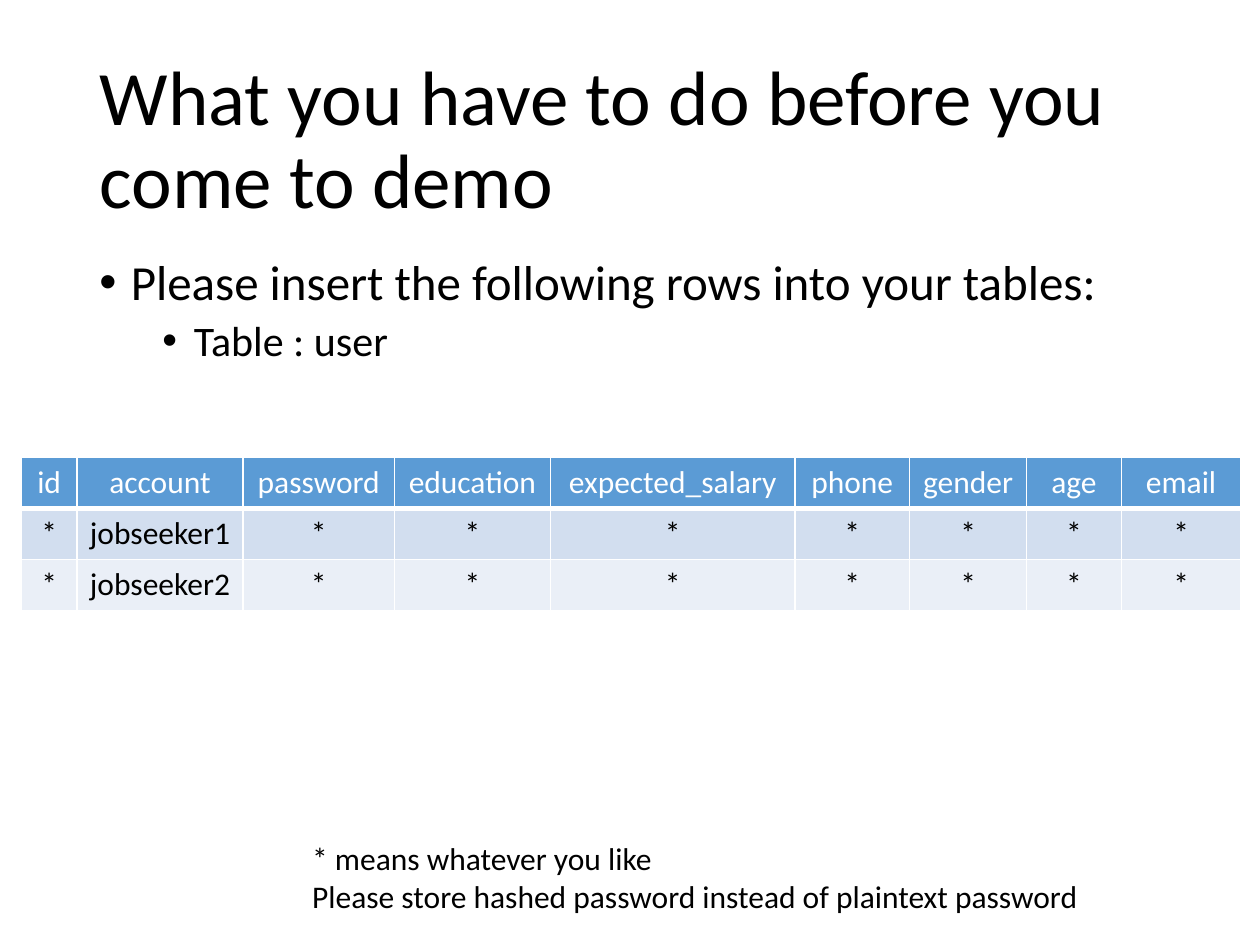
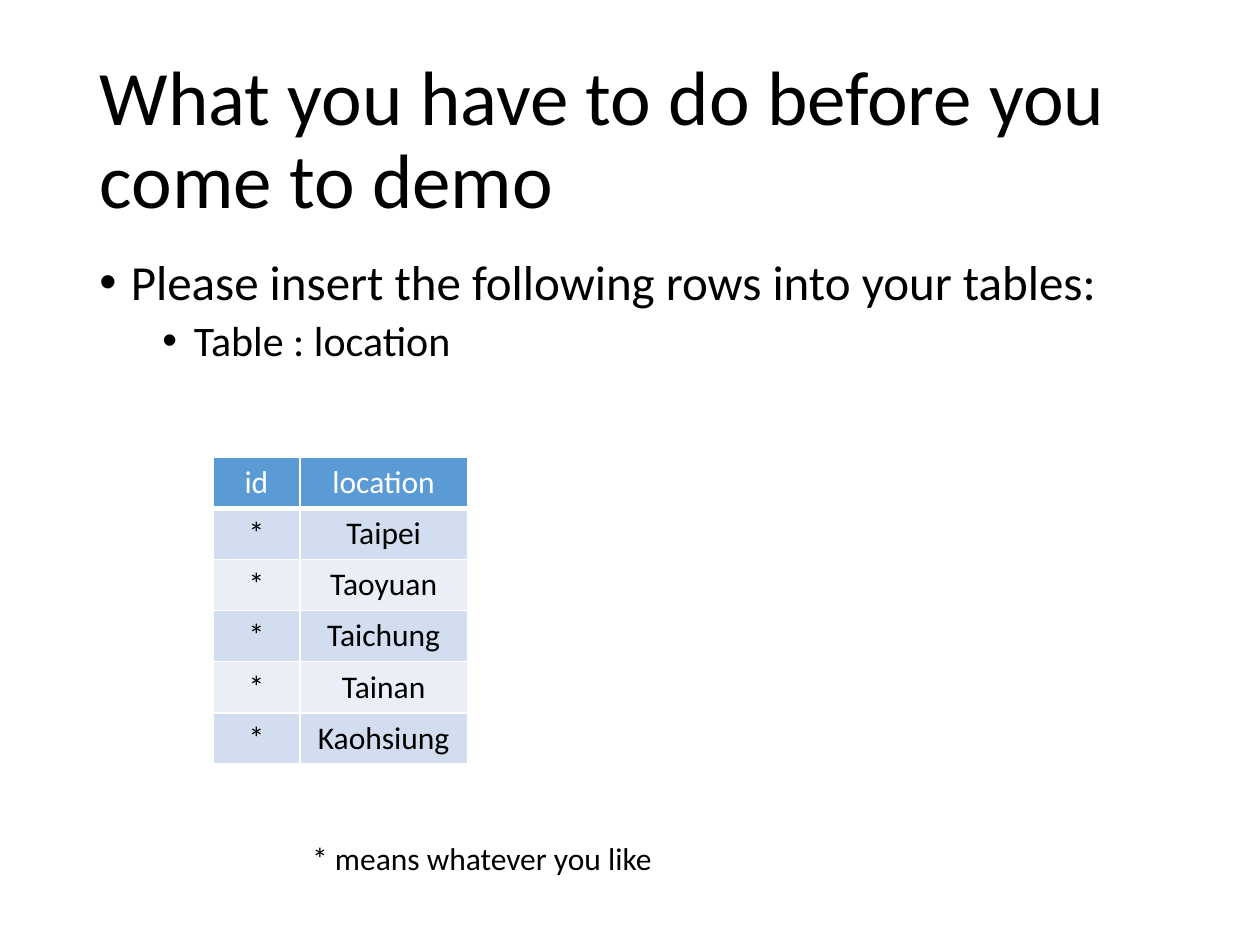
from lxml.etree import SubElement
from pptx import Presentation
from pptx.dml.color import RGBColor
from pptx.enum.text import MSO_ANCHOR as Anchor, MSO_AUTO_SIZE as AutoSize, PP_ALIGN as Align
from pptx.oxml.ns import qn
from pptx.util import Inches, Pt

SLIDE_WIDTH, SLIDE_HEIGHT = Inches(10), Inches(7.5)
COLUMN, ROW = SLIDE_WIDTH / 100, SLIDE_HEIGHT / 100  # 100 x 100 layout grid
TITLE_ONLY = 5

FONT = "Calibri"
INK, PAPER = "000000", "FFFFFF"
HEADER_FILL, BAND_FILLS = "5B9BD5", ("D2DEEF", "EAEFF7")

TITLE = "What you have to do before you come to demo"
TASK = "Please insert the following rows into your tables:"
WILDCARD_NOTE = "* means whatever you like"
HASH_NOTE = "Please store hashed password instead of plaintext password"

TITLE_AREA = (6.9, 5.33, 86.2, 19.33)
TASK_AREA = (6.9, 26.67, 86.2, 14.27)
NOTE_LEFT, NOTE_TOP, NOTE_WIDTH = 23.8, 88.13, 74.7
TABLE_TOP, TABLE_ROW = 48.4, 5.41

TITLE_FORMAT = {"line_spacing": 0.9, "alignment": Align.LEFT}
BULLET_FORMATS = (
    {"line_spacing": 0.9, "space_before": Pt(10), "level": 0},
    {"line_spacing": 0.9, "space_before": Pt(5), "level": 1},
)
BULLET_SIZES = (28, 24)


def color(hex_code):
    return RGBColor.from_string(hex_code)


def grid(left, top, width, height):
    return [round(n * unit) for n, unit in
            zip((left, top, width, height), (COLUMN, ROW, COLUMN, ROW))]


def apply(target, formats):
    for attribute, value in formats.items():
        setattr(target, attribute, value)


def write(paragraph, text, size, ink=INK, formats=None):
    run = paragraph.add_run()
    run.text = text
    apply(run.font, {"name": FONT, "size": Pt(size), "bold": False})
    run.font.color.rgb = color(ink)
    apply(paragraph, formats or {})


def add_lines(slide, area, lines):
    """Add a text box; each line is (text, size, paragraph formats)."""
    frame = slide.shapes.add_textbox(*grid(*area)).text_frame
    frame.word_wrap = True
    for number, (text, size, formats) in enumerate(lines):
        paragraph = frame.add_paragraph() if number else frame.paragraphs[0]
        write(paragraph, text, size, formats=formats)
    return frame


def add_title(slide):
    title = slide.shapes.title
    apply(title, dict(zip(("left", "top", "width", "height"), grid(*TITLE_AREA))))
    apply(title.text_frame, {"vertical_anchor": Anchor.MIDDLE, "word_wrap": True,
                             "auto_size": AutoSize.NONE})
    write(title.text_frame.paragraphs[0], TITLE, 44, formats=TITLE_FORMAT)


def add_task(slide, table_name):
    lines = zip((TASK, f"Table : {table_name}"), BULLET_SIZES, BULLET_FORMATS)
    for paragraph in add_lines(slide, TASK_AREA, lines).paragraphs:
        properties = paragraph._p.get_or_add_pPr()
        properties.set("marL", str(Inches(0.25 + 0.5 * paragraph.level)))
        properties.set("indent", str(-Inches(0.25)))
        SubElement(properties, qn("a:buFont"), typeface="Arial")
        SubElement(properties, qn("a:buChar"), char="•")


def add_borders(cell, bottom):
    properties = cell._tc.get_or_add_tcPr()
    for side, width in zip("LRTB", (1, 1, 1, bottom)):
        line = SubElement(properties, qn(f"a:ln{side}"), w=str(Pt(width)))
        SubElement(SubElement(line, qn("a:solidFill")), qn("a:srgbClr"), val=PAPER)


def add_rows_table(slide, left, widths, rows):
    area = grid(left, TABLE_TOP, sum(widths), TABLE_ROW * len(rows))
    table = slide.shapes.add_table(len(rows), len(widths), *area).table
    for column, width in zip(table.columns, widths):
        column.width = round(width * COLUMN)
    for number, values in enumerate(rows):
        header = number == 0
        fill = HEADER_FILL if header else BAND_FILLS[(number - 1) % 2]
        for cell, value in zip(table.rows[number].cells, values):
            add_borders(cell, bottom=3 if header else 1)
            cell.fill.solid()
            cell.fill.fore_color.rgb = color(fill)
            write(cell.text_frame.paragraphs[0], value, 18,
                  PAPER if header else INK, {"alignment": Align.CENTER})


def add_notes_line(slide, *notes):
    height = 1.33 + 4.05 * len(notes)
    add_lines(slide, (NOTE_LEFT, NOTE_TOP, NOTE_WIDTH, height),
              [(note, 18, {}) for note in notes])


def add_demo_slide(deck, table_name, left, widths, rows, notes):
    slide = deck.slides.add_slide(deck.slide_layouts[TITLE_ONLY])
    add_title(slide)
    add_task(slide, table_name)
    add_rows_table(slide, left, widths, rows)
    add_notes_line(slide, *notes)


def main():
    deck = Presentation()
    apply(deck, {"slide_width": SLIDE_WIDTH, "slide_height": SLIDE_HEIGHT})

    # User rows: only the account is prescribed
    user_fields = ["id", "account", "password", "education", "expected_salary",
                   "phone", "gender", "age", "email"]
    users = [[account if field == "account" else "*" for field in user_fields]
             for account in ("jobseeker1", "jobseeker2")]
    add_demo_slide(deck, "user", 1.7,
                   (4.4, 13.2, 12, 12.4, 19.4, 9.1, 9.3, 7.5, 9.5),
                   [user_fields, *users], (WILDCARD_NOTE, HASH_NOTE))

    # Location rows
    cities = ("Taipei", "Taoyuan", "Taichung", "Tainan", "Kaohsiung")
    add_demo_slide(deck, "location", 16.9, (6.9, 13.3),
                   [("id", "location"), *(("*", city) for city in cities)],
                   (WILDCARD_NOTE,))

    deck.save("out.pptx")


if __name__ == "__main__":
    main()
